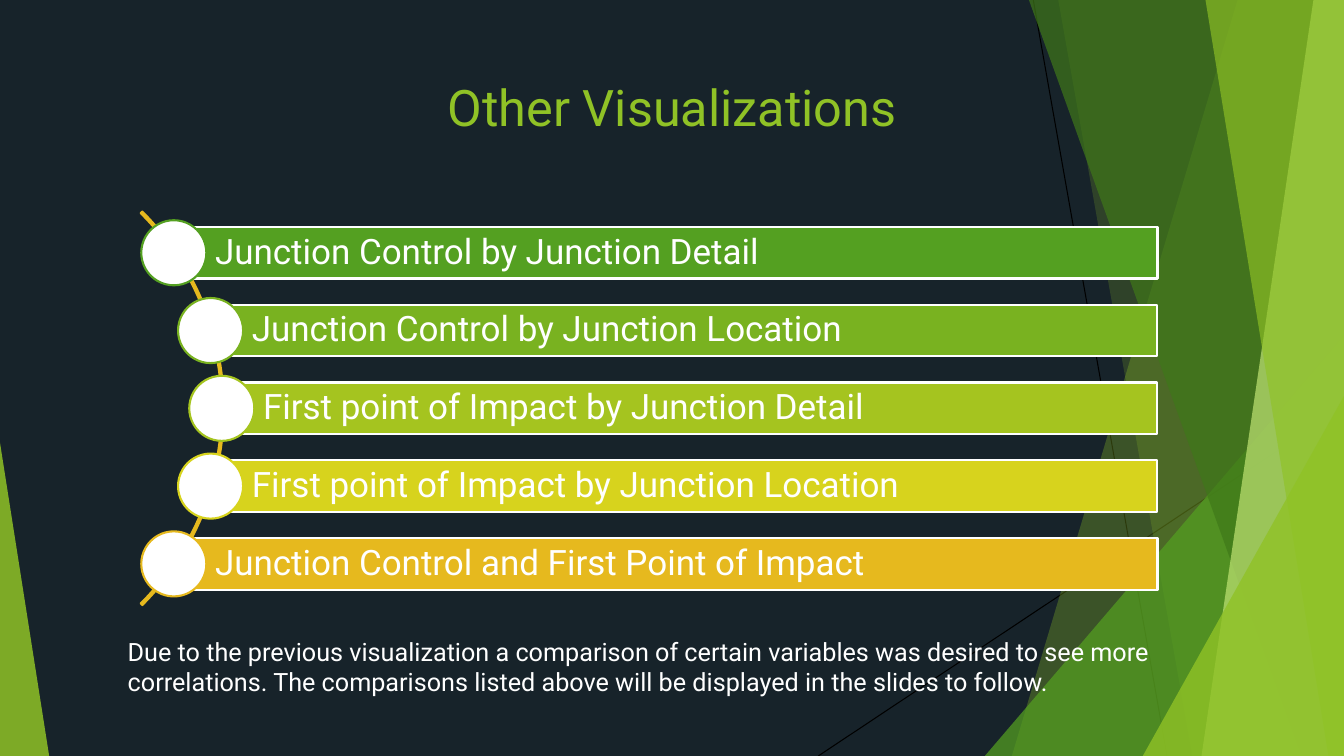
from math import sqrt

from lxml.etree import SubElement
from pptx import Presentation
from pptx.dml.color import RGBColor
from pptx.enum.shapes import MSO_CONNECTOR, MSO_SHAPE
from pptx.enum.text import MSO_ANCHOR, PP_ALIGN
from pptx.oxml.ns import qn
from pptx.util import Cm, Pt

COLORS = {
    "background": "17232A",
    "white": "FFFFFF",
    "black": "000000",
    "lime": "90C226",
    "green": "54A021",
    "forest": "3F7819",
    "pale": "C0E474",
    "leaf": "79B220",
    "olive": "A5C41F",
    "yellow": "D7D31D",
    "gold": "E6B91E",
}
FONT = "Roboto"
WIDTH, HEIGHT = 33.87, 19.05
ARC_X, ARC_Y, ARC_RADIUS = -1.37, 10.29, 7.01
DOT_RADIUS, DOT_ORBIT = 0.82, 6.96
BAR_RIGHT, BAR_HEIGHT, BAR_PITCH = 29.17, 1.3, 1.96

TOPICS = [
    ("Junction Control by Junction Detail", "green"),
    ("Junction Control by Junction Location", "leaf"),
    ("First point of Impact by Junction Detail", "olive"),
    ("First point of Impact by Junction Location", "yellow"),
    ("Junction Control and First Point of Impact", "gold"),
]
CAPTION = (
    "Due to the previous visualization a comparison of certain variables was "
    "desired to see more correlations. The comparisons listed above will be "
    "displayed in the slides to follow."
)


def color(name):
    return RGBColor.from_string(COLORS[name])


def paint(shape, fill=None, line=None, opacity=100):
    shape.shadow.inherit = False
    if fill:
        shape.fill.solid()
        shape.fill.fore_color.rgb = color(fill)
    else:
        shape.fill.background()
    if opacity < 100:
        tint = shape.element.spPr.find(qn("a:solidFill")).find(qn("a:srgbClr"))
        SubElement(tint, qn("a:alpha"), val=str(opacity * 1000))
    if line:
        shape.line.color.rgb = color(line)
        shape.line.width = Pt(1.5)
    else:
        shape.line.fill.background()


def add_preset(slide, kind, left, top, width, height, **style):
    shape = slide.shapes.add_shape(kind, Cm(left), Cm(top), Cm(width), Cm(height))
    paint(shape, **style)
    return shape


def add_ray(slide, start_x, start_y, end_x, end_y):
    ray = slide.shapes.add_connector(
        MSO_CONNECTOR.STRAIGHT, Cm(start_x), Cm(start_y), Cm(end_x), Cm(end_y)
    )
    ray.line.color.rgb = color("black")
    ray.line.width = Pt(0.75)
    SubElement(ray.element.spPr, qn("a:effectLst"))


def add_facet(slide, top_x, bottom_x, fill, opacity):
    builder = slide.shapes.build_freeform(Cm(top_x), 0)
    corners = [(WIDTH, 0), (WIDTH, HEIGHT), (bottom_x, HEIGHT)]
    builder.add_line_segments([(Cm(x), Cm(y)) for x, y in corners], close=True)
    paint(builder.convert_to_shape(), fill=fill, opacity=opacity)


def add_triangle(slide, left, top, width, apex, fill, opacity):
    triangle = add_preset(
        slide, MSO_SHAPE.ISOSCELES_TRIANGLE, left, top, width, HEIGHT - top,
        fill=fill, opacity=opacity,
    )
    triangle.adjustments[0] = apex


def add_text(paragraph, text, size, color_name):
    run = paragraph.add_run()
    run.text = text
    run.font.name = FONT
    run.font.size = Pt(size)
    run.font.color.rgb = color(color_name)


def add_backdrop(slide):
    slide.background.fill.solid()
    slide.background.fill.fore_color.rgb = color("background")
    add_ray(slide, 26.04, 0, 29.41, HEIGHT)
    add_ray(slide, WIDTH, 10.24, 20.62, HEIGHT)
    add_facet(slide, 31.19, 25.5, "lime", 30)
    add_facet(slide, 26.67, 30.05, "lime", 20)
    add_triangle(slide, 24.82, 8.46, 9.05, 1, "green", 72)
    add_facet(slide, 25.93, 32.79, "forest", 70)
    add_facet(slide, 33.1, 30.28, "pale", 70)
    add_facet(slide, 30.38, 33.48, "lime", 65)
    add_triangle(slide, 28.8, 9.98, 5.07, 1, "lime", 80)
    add_triangle(slide, 0, 11.15, 1.24, 0, "lime", 85)


def add_title(slide, text):
    title = slide.shapes.title
    title.left, title.top, title.width, title.height = Cm(2.97), Cm(1.78), Cm(27.94), Cm(2.87)
    title.text_frame.vertical_anchor = MSO_ANCHOR.TOP
    paragraph = title.text_frame.paragraphs[0]
    paragraph.alignment = PP_ALIGN.CENTER
    add_text(paragraph, text, 36, "lime")


def add_arc(slide):
    arc = add_preset(
        slide, MSO_SHAPE.BLOCK_ARC, ARC_X - ARC_RADIUS, ARC_Y - ARC_RADIUS,
        2 * ARC_RADIUS, 2 * ARC_RADIUS, line="gold",
    )
    for index, value in enumerate((189, 27, 0.004)):
        arc.adjustments[index] = value


def add_topic(slide, text, accent, offset):
    center_x = ARC_X + sqrt(DOT_ORBIT**2 - offset**2)
    center_y = ARC_Y + offset
    bar = add_preset(
        slide, MSO_SHAPE.RECTANGLE, center_x, center_y - BAR_HEIGHT / 2,
        BAR_RIGHT - center_x, BAR_HEIGHT, fill=accent, line="white",
    )
    frame = bar.text_frame
    frame.word_wrap = True
    frame.vertical_anchor = MSO_ANCHOR.MIDDLE
    frame.margin_left = Cm(1.04)
    frame.margin_top = frame.margin_right = frame.margin_bottom = Cm(0.18)
    paragraph = frame.paragraphs[0]
    paragraph.alignment = PP_ALIGN.LEFT
    paragraph.line_spacing = 0.9
    add_text(paragraph, text, 25, "white")
    add_preset(
        slide, MSO_SHAPE.OVAL, center_x - DOT_RADIUS, center_y - DOT_RADIUS,
        2 * DOT_RADIUS, 2 * DOT_RADIUS, fill="white", line=accent,
    )


def add_caption(slide, text):
    box = slide.shapes.add_textbox(Cm(2.97), Cm(15.9), Cm(27.94), Cm(1.8))
    box.text_frame.word_wrap = True
    add_text(box.text_frame.paragraphs[0], text, 18, "white")


def main():
    presentation = Presentation()
    presentation.slide_width = Cm(WIDTH)
    presentation.slide_height = Cm(HEIGHT)
    slide = presentation.slides.add_slide(presentation.slide_layouts[5])
    add_backdrop(slide)
    add_title(slide, "Other Visualizations")
    add_arc(slide)
    middle = len(TOPICS) // 2
    for index, (text, accent) in enumerate(TOPICS):
        add_topic(slide, text, accent, (index - middle) * BAR_PITCH)
    add_caption(slide, CAPTION)
    presentation.save("out.pptx")


if __name__ == "__main__":
    main()
